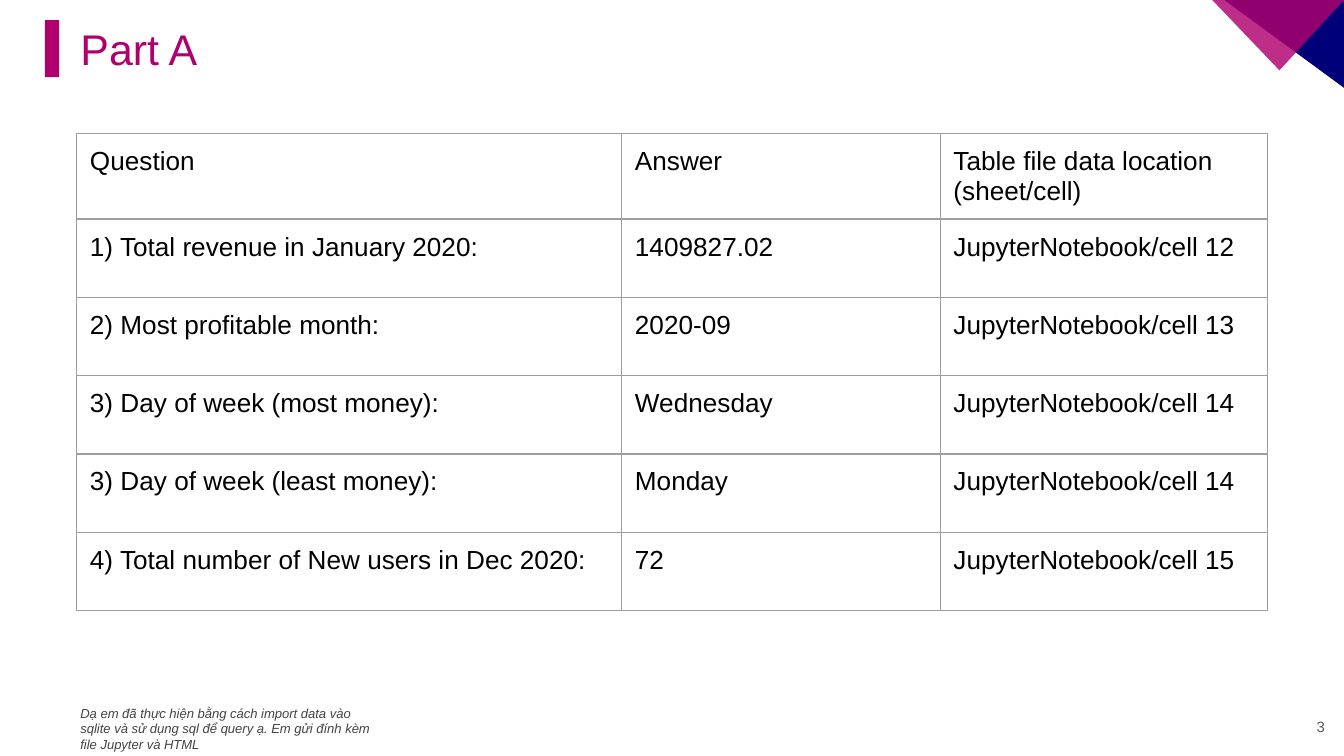
"""Build the Part A results slide."""
from pptx import Presentation
from pptx import util as u
from pptx.dml.color import RGBColor
from pptx.enum import shapes, text
from pptx.oxml.ns import qn
from lxml import etree

MAGENTA, NAVY, GREY = "B0006E", "000078", "9E9E9E"
PAD = u.Cm(0.25)
ROWS = [
    ("Question", "Answer", "Table file data location (sheet/cell)"),
    ("1) Total revenue in January 2020:", "1409827.02", "JupyterNotebook/cell 12"),
    ("2) Most profitable month:", "2020-09", "JupyterNotebook/cell 13"),
    ("3) Day of week (most money):", "Wednesday", "JupyterNotebook/cell 14"),
    ("3) Day of week (least money):", "Monday", "JupyterNotebook/cell 14"),
    ("4) Total number of New users in Dec 2020:", "72", "JupyterNotebook/cell 15"),
]
NOTE = ("Dạ em đã thực hiện bằng cách import data vào sqlite và sử dụng sql "
        "để query ạ. Em gửi đính kèm file Jupyter và HTML")


def rgb(value):
    """Turn a hex string into a colour."""
    return RGBColor.from_string(value)


def write(tf, content, size=14, color="000000", italic=False, align=text.PP_ALIGN.LEFT):
    """Write one formatted paragraph into a text frame."""
    p = tf.paragraphs[0]
    p.alignment = align
    r = p.add_run()
    r.text = content
    r.font.name, r.font.size, r.font.italic = "Arial", u.Pt(size), italic
    r.font.color.rgb = rgb(color)


def set_text(sp, box, content, **fmt):
    """Place a text shape, in centimetres, and fill it."""
    sp.left, sp.top, sp.width, sp.height = map(u.Cm, box)
    tf = sp.text_frame
    tf.word_wrap = True
    tf.auto_size = text.MSO_AUTO_SIZE.NONE
    tf.vertical_anchor = text.MSO_ANCHOR.MIDDLE
    tf.margin_left = tf.margin_right = tf.margin_top = tf.margin_bottom = PAD
    write(tf, content, **fmt)


def add_textbox(s, box, content, **fmt):
    """Add a text box."""
    set_text(s.shapes.add_textbox(*map(u.Cm, box)), box, content, **fmt)


def add_block(s, kind, box, color, rotation=0, alpha=None):
    """Add a plain filled shape without outline."""
    sp = s.shapes.add_shape(kind, *map(u.Cm, box))
    sp.shadow.inherit = False
    sp.rotation = rotation
    sp.fill.solid()
    sp.fill.fore_color.rgb = rgb(color)
    sp.line.fill.background()
    if alpha:
        clr = sp._element.spPr.find(".//" + qn("a:srgbClr"))
        etree.SubElement(clr, qn("a:alpha"), val=str(alpha * 1000))
    return sp


def set_borders(cell, color, width):
    """Draw all four borders of a table cell."""
    tcPr = cell._tc.get_or_add_tcPr()
    for side in "LRTB":
        ln = etree.SubElement(tcPr, qn(f"a:ln{side}"), w=str(u.Pt(width)))
        fill = etree.SubElement(ln, qn("a:solidFill"))
        etree.SubElement(fill, qn("a:srgbClr"), val=color)


def add_table(s, rows, left, top, widths, row_height):
    """Add a bordered table with plain cells."""
    frame = s.shapes.add_table(len(rows), len(widths), u.Cm(left), u.Cm(top),
                               u.Cm(sum(widths)), u.Cm(row_height * len(rows)))
    table = frame.table
    table.first_row = table.horz_banding = False
    for column, width in zip(table.columns, widths):
        column.width = u.Cm(width)
    for row, values in zip(table.rows, rows):
        row.height = u.Cm(row_height)
        for cell, value in zip(row.cells, values):
            cell.margin_left = cell.margin_right = PAD
            cell.margin_top = cell.margin_bottom = PAD
            set_borders(cell, GREY, 0.75)
            cell.fill.background()
            write(cell.text_frame, value)


def main():
    """Build and save the slide."""
    prs = Presentation()
    prs.slide_width, prs.slide_height = u.Cm(25.4), u.Cm(14.29)
    s = prs.slides.add_slide(prs.slide_layouts[5])

    kinds = shapes.MSO_SHAPE
    add_block(s, kinds.RECTANGLE, (0.85, 0.38, 0.27, 1.08), MAGENTA)
    add_block(s, kinds.RIGHT_TRIANGLE, (23.14, 0, 2.26, 1.66), NAVY, rotation=180)
    sp = add_block(s, kinds.ISOSCELES_TRIANGLE, (22.91, 0, 2.49, 1.33), MAGENTA,
                   rotation=180, alpha=82)
    sp.adjustments[0] = 0.49

    set_text(s.shapes.title, (1.27, 0.38, 22.23, 1.08), "Part A", size=23, color="B0006D")
    add_table(s, ROWS, 1.45, 2.53, (10.3, 6.02, 6.18), 1.48)
    add_textbox(s, (1.27, 13.52, 6.2, 0.5), NOTE, size=7, color="434343", italic=True)
    add_textbox(s, (23.77, 13.19, 1.52, 1.09), "3", size=8, color="595959",
                align=text.PP_ALIGN.RIGHT)
    prs.save("out.pptx")


if __name__ == "__main__":
    main()
